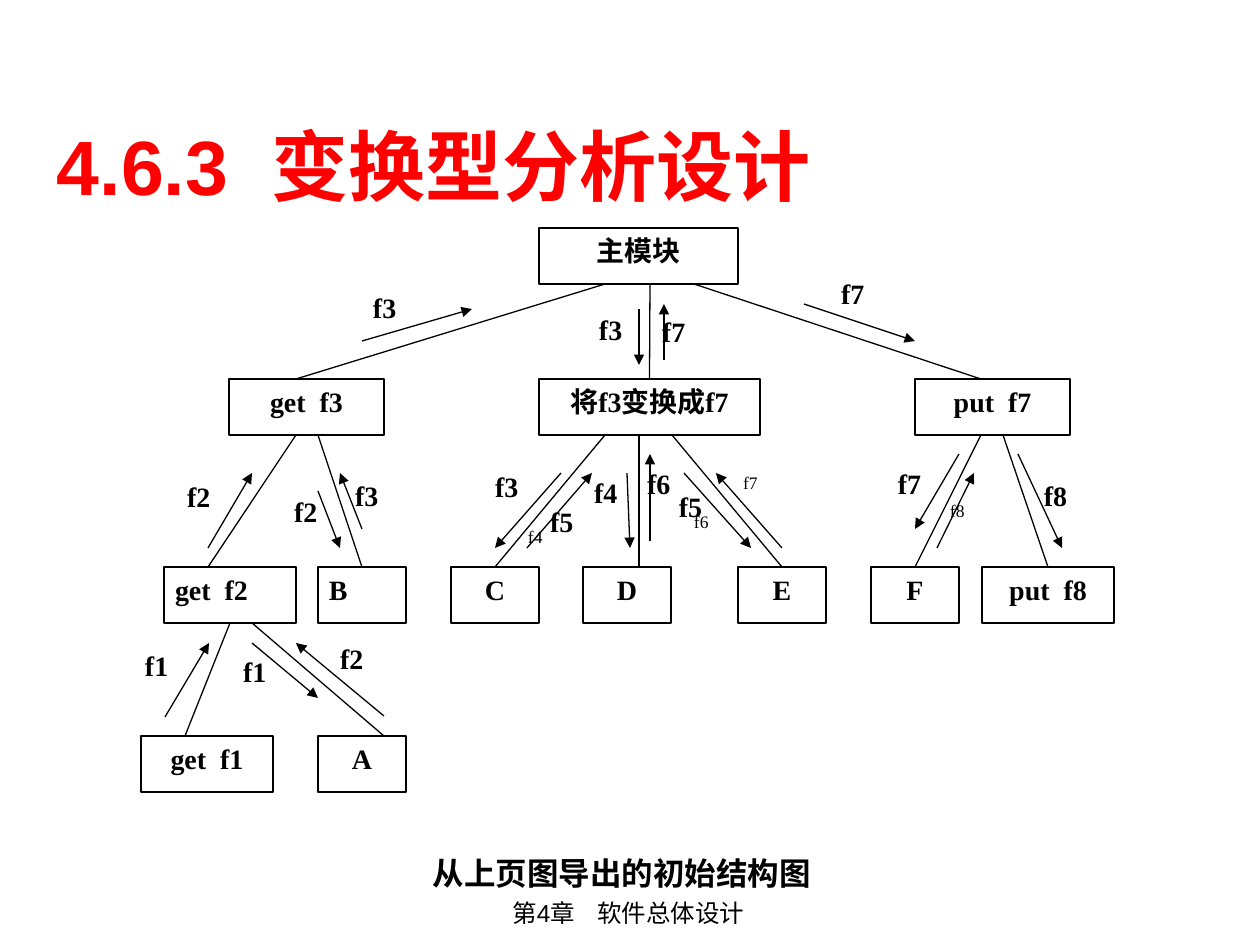
from dataclasses import dataclass

from pptx import Presentation
from pptx.dml.color import RGBColor as Color
from pptx.enum.shapes import MSO_CONNECTOR as Connector, MSO_SHAPE as Shape
from pptx.enum.text import MSO_ANCHOR as Anchor, MSO_AUTO_SIZE as AutoSize, PP_ALIGN as Align
from pptx.oxml.ns import qn
from pptx.util import Emu, Pt
from lxml import etree

EMU_PER_PX = 914400 / 126


def px(length):
    return Emu(round(length * EMU_PER_PX))


@dataclass(frozen=True)
class Theme:
    ink: Color = Color(0, 0, 0)
    paper: Color = Color(255, 255, 255)
    accent: Color = Color(255, 0, 0)
    heading_font: str = "Arial"
    chart_font: str = "Times New Roman"
    title_size: int = 44
    caption_size: int = 18
    module_size: int = 16
    footer_size: int = 14
    small_size: int = 10
    line_width: float = 0.75


class StructureSlide:
    def __init__(self, deck, theme):
        self.theme = theme
        self.page = deck.slides.add_slide(deck.slide_layouts[5])
        self.shapes = self.page.shapes

    def set_text(self, shape, text, size, font, bold=True, align=Align.LEFT,
                 color=None, insets=(11, 6), anchor=Anchor.TOP):
        frame = shape.text_frame
        frame.word_wrap = True
        frame.auto_size = AutoSize.NONE
        frame.vertical_anchor = anchor
        frame.margin_left = frame.margin_right = px(insets[0])
        frame.margin_top = frame.margin_bottom = px(insets[1])
        para = frame.paragraphs[0]
        para.text = text
        para.alignment = align
        para.font.size = Pt(size)
        para.font.name = font
        para.font.bold = bold
        para.font.color.rgb = color or self.theme.ink

    def title(self, text, left, top, width, height):
        box = self.shapes.title
        box.left, box.top, box.width, box.height = map(px, (left, top, width, height))
        self.set_text(box, text, self.theme.title_size, self.theme.heading_font,
                      color=self.theme.accent, insets=(13, 6), anchor=Anchor.MIDDLE)

    def text(self, text, left, top, width, height, size, bold, insets):
        box = self.shapes.add_textbox(*map(px, (left, top, width, height)))
        self.set_text(box, text, size, self.theme.heading_font, bold, Align.CENTER, insets=insets)

    def rectangle(self, left, top, width, height):
        box = self.shapes.add_shape(Shape.RECTANGLE, *map(px, (left, top, width, height)))
        box.shadow.inherit = False
        box.fill.solid()
        box.fill.fore_color.rgb = self.theme.paper
        return box

    def label(self, text, left, top, width=67, height=57, filled=True, small=False):
        if filled:
            box = self.rectangle(left, top, width, height)
            box.line.fill.background()
        else:
            box = self.shapes.add_textbox(*map(px, (left, top, width, height)))
        size = self.theme.small_size if small else self.theme.module_size
        self.set_text(box, text, size, self.theme.chart_font, bold=not small)

    def module(self, text, left, top, width, height=56, align=Align.CENTER):
        box = self.rectangle(left, top, width, height)
        box.line.color.rgb = self.theme.ink
        box.line.width = Pt(self.theme.line_width)
        self.set_text(box, text, self.theme.module_size, self.theme.chart_font, align=align)
        return box

    def line(self, x1, y1, x2, y2):
        line = self.shapes.add_connector(Connector.STRAIGHT, *map(px, (x1, y1, x2, y2)))
        line.line.color.rgb = self.theme.ink
        line.line.width = Pt(self.theme.line_width)
        etree.SubElement(line._element.spPr, qn("a:effectLst"))
        return line

    def branch(self, parent, child, x1=None, x2=None):
        """Link two modules; an end without an x joins the middle of the side."""
        y1 = (parent.top + parent.height) / EMU_PER_PX
        line = self.line(x1 or 0, y1, x2 or 0, child.top / EMU_PER_PX)
        if x1 is None:
            line.begin_connect(parent, 2)
        if x2 is None:
            line.end_connect(child, 0)

    def arrow(self, x1, y1, x2, y2):
        arrow = self.line(x1, y1, x2, y2)
        outline = arrow._element.spPr.get_or_add_ln()
        etree.SubElement(outline, qn("a:tailEnd"), type="triangle")


def main():
    deck = Presentation()
    deck.slide_width, deck.slide_height = px(1260), px(945)
    theme = Theme()
    chart = StructureSlide(deck, theme)

    # Title and footer
    chart.text("第4章    软件总体设计", 296, 892, 665, 43, theme.footer_size, False, (13, 6))
    chart.title("4.6.3  变换型分析设计", 44, 105, 1134, 120)

    # Data labels without fill: text, left, top, width, small
    for text, left, top, width, small in [
        ("f8", 1033, 473, 88, False), ("f8", 939, 494, 88, True),
        ("f7", 887, 461, 88, False), ("f6", 683, 505, 111, True),
        ("f5", 668, 484, 88, False), ("f6", 636, 461, 67, False),
        ("f4", 583, 470, 67, False), ("f4", 517, 520, 88, True),
        ("f5", 539, 499, 67, False),
    ]:
        chart.label(text, left, top, width, 76, filled=False, small=small)

    # Data labels on white
    for text, left, top in [
        ("f3", 588, 307), ("f7", 651, 309), ("f7", 830, 271), ("f3", 484, 464),
        ("f2", 329, 636), ("f1", 232, 649), ("f1", 134, 643), ("f3", 344, 473),
        ("f2", 283, 489), ("f2", 176, 474), ("f3", 362, 285),
    ]:
        chart.label(text, left, top)
    chart.label("f7", 732, 466, small=True)

    # Modules, level by level
    root = chart.module("主模块", 539, 228, 199)
    get_f3 = chart.module("get  f3", 229, 379, 155)
    transform = chart.module("将f3变换成f7", 539, 379, 221)
    put_f7 = chart.module("put  f7", 915, 379, 155)
    get_f2 = chart.module("get  f2", 164, 567, 132, align=Align.LEFT)
    b = chart.module("B", 318, 567, 88, align=Align.LEFT)
    c, d, e, f = [chart.module(name, left, 567, 88)
                  for name, left in zip("CDEF", (451, 583, 738, 871))]
    put_f8 = chart.module("put  f8", 982, 567, 132)
    get_f1 = chart.module("get  f1", 141, 736, 132)
    a = chart.module("A", 318, 736, 88)

    # Calls between modules
    for parent, child, x1, x2 in [
        (root, get_f3, 605, 296), (root, transform, 650, None), (root, put_f7, 694, 981),
        (transform, c, 605, None), (transform, d, 639, 639), (transform, e, 672, None),
        (get_f3, get_f2, 296, 208), (get_f3, b, 318, None),
        (put_f7, f, 981, None), (put_f7, put_f8, 1003, None),
        (get_f2, get_f1, None, 185), (get_f2, a, 252, 384),
    ]:
        chart.branch(parent, child, x1, x2)

    # Data flow arrows
    for ends in [
        (362, 341, 472, 309), (804, 304, 915, 341), (639, 309, 639, 365),
        (664, 360, 664, 304), (208, 548, 252, 473), (318, 491, 340, 548),
        (362, 529, 340, 473), (561, 473, 495, 548), (539, 548, 539, 548),
        (527, 548, 592, 473), (627, 473, 630, 548), (650, 541, 650, 454),
        (684, 473, 751, 548), (782, 548, 716, 473), (959, 454, 915, 529),
        (937, 548, 974, 473), (1018, 454, 1062, 548), (165, 717, 209, 643),
        (252, 643, 318, 698), (384, 716, 296, 643),
    ]:
        chart.arrow(*ends)

    # Caption
    chart.text("从上页图导出的初始结构图", 307, 854, 630, 38, theme.caption_size, True, (0, 0))

    deck.save("out.pptx")


if __name__ == "__main__":
    main()
